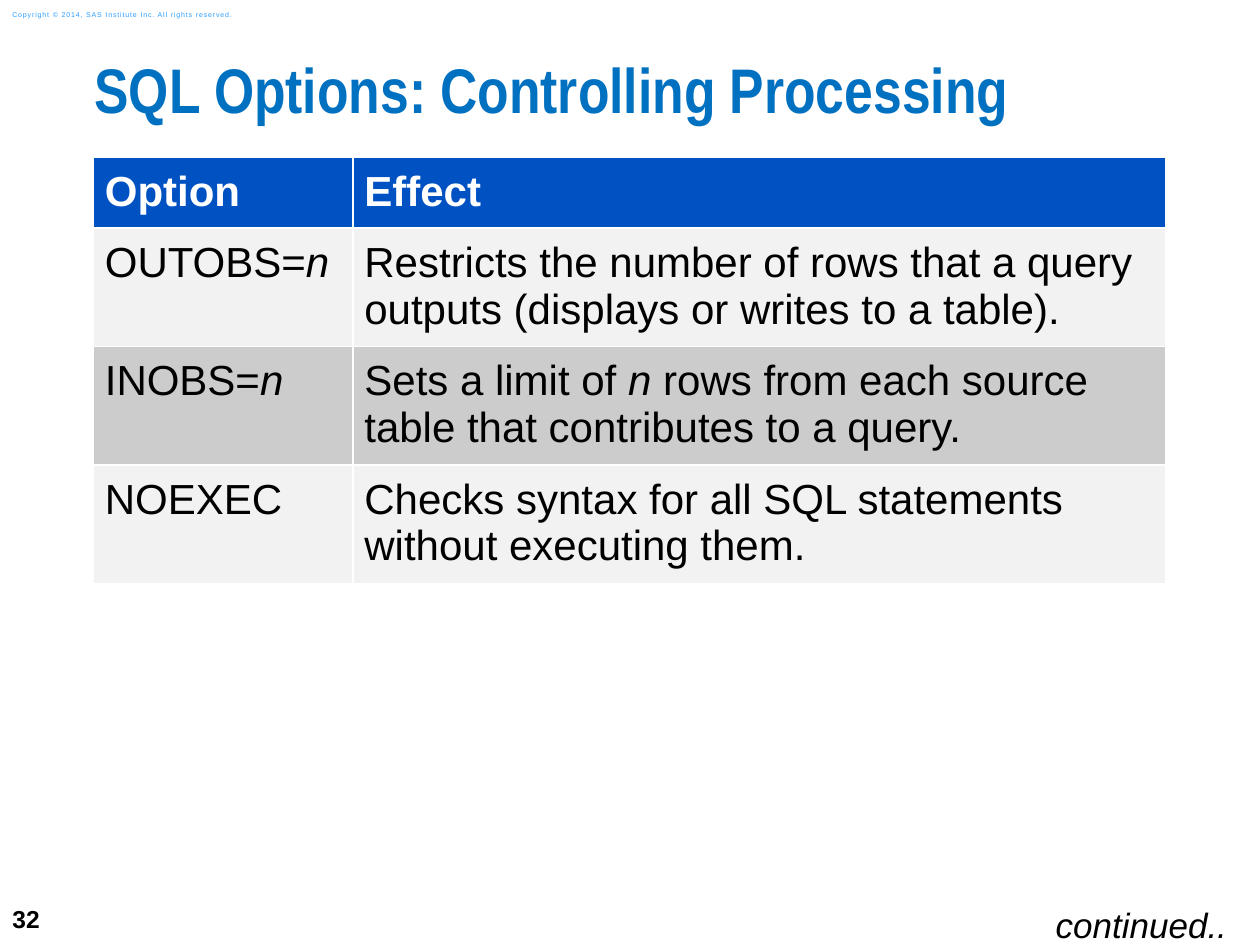
from dataclasses import dataclass
from lxml.etree import SubElement
from pptx import Presentation
from pptx.dml.color import RGBColor as RGB
from pptx.enum.text import MSO_ANCHOR as Anchor
from pptx.oxml.ns import qn
from pptx.util import Inches, Pt


@dataclass
class Theme:
    font: str = "Arial"
    title_font: str = "Arial Narrow"
    title: str = "0070C0"
    header: str = "0052C3"
    bands: tuple = ("F2F2F2", "CCCCCC")
    ink: str = "000000"
    paper: str = "FFFFFF"
    legal: str = "2A9CFF"
    title_size: int = 36
    table_size: int = 24
    note_size: int = 20
    number_size: int = 14
    legal_size: int = 4


theme = Theme()
COL = ROW = Inches(0.25)


def write(frame, text, size, color, font=theme.font, bold=False):
    paragraph = frame.paragraphs[0]
    for index, part in enumerate(text.split("*")):
        if part:
            run = paragraph.add_run()
            run.text = part
            run.font.name, run.font.size = font, Pt(size)
            run.font.bold, run.font.italic = bold, index % 2 == 1
            run.font.color.rgb = RGB.from_string(color)
    return paragraph


def place(shape, left, top, width, height):
    shape.left, shape.top = int(left * COL), int(top * ROW)
    shape.width, shape.height = int(width * COL), int(height * ROW)


prs = Presentation()
prs.slide_width, prs.slide_height = 40 * COL, 30 * ROW
slide = prs.slides.add_slide(prs.slide_layouts[5])

title = slide.shapes.title
place(title, 3, 2, 37, 3)
heading = title.text_frame
heading.margin_left = heading.margin_right = heading.margin_top = heading.margin_bottom = 0
heading.vertical_anchor = Anchor.TOP
heading_line = write(heading, "SQL Options: Controlling Processing", theme.title_size,
                     theme.title, theme.title_font, True)
heading_line.line_spacing = 0.83
heading_line.alignment = 1

options = [
    ("Option", "Effect"),
    ("OUTOBS=*n*", "Restricts the number of rows that a query outputs (displays or writes to a table)."),
    ("INOBS=*n*", "Sets a limit of *n* rows from each source table that contributes to a query."),
    ("NOEXEC", "Checks syntax for all SQL statements without executing them."),
]
table = slide.shapes.add_table(len(options), 2, int(2.97 * COL), 5 * ROW,
                               34 * COL, int(13.5 * ROW)).table
for column, width in zip(table.columns, (2.06, 6.45)):
    column.width = Inches(width)

for row_index, effects in enumerate(options):
    is_header = row_index == 0
    table.rows[row_index].height = Inches(0.56 if is_header else 0.94)
    band = theme.header if is_header else theme.bands[(row_index - 1) % 2]
    for column_index, text in enumerate(effects):
        cell = table.cell(row_index, column_index)
        cell.margin_left = cell.margin_right = cell.margin_top = cell.margin_bottom = Inches(0.09)
        write(cell.text_frame, text, theme.table_size,
              theme.paper if is_header else theme.ink, bold=is_header)
        properties = cell._tc.get_or_add_tcPr()
        for side in ("a:lnL", "a:lnR", "a:lnT", "a:lnB"):
            border = SubElement(properties, qn(side), w=str(Pt(1)))
            SubElement(SubElement(border, qn("a:solidFill")), qn("a:srgbClr"), val=theme.paper)
        cell.fill.solid()
        cell.fill.fore_color.rgb = RGB.from_string(band)

labels = [
    ("32", (0, 28.32, 2.32, 1.68), theme.number_size, theme.ink, True, 0.05, Anchor.MIDDLE),
    ("Copyright © 2014, SAS Institute Inc. All rights reserved.", (0, 0.12, 8.44, 0.68),
     theme.legal_size, theme.legal, False, 0.05, Anchor.MIDDLE),
    ("*continued...*", (33.12, 28.28, 6.52, 2.12), theme.note_size, theme.ink, False, 0.1, Anchor.TOP),
]
for text, area, size, color, bold, margin, anchor in labels:
    label = slide.shapes.add_textbox(0, 0, COL, ROW)
    place(label, *area)
    frame = label.text_frame
    frame.word_wrap = size == theme.number_size
    frame.margin_top = frame.margin_bottom = Inches(margin)
    frame.vertical_anchor = anchor
    line = write(frame, text, size, color, bold=bold)
    if size == theme.legal_size:
        line.runs[0].font._element.set("spc", "50")

prs.save("out.pptx")
